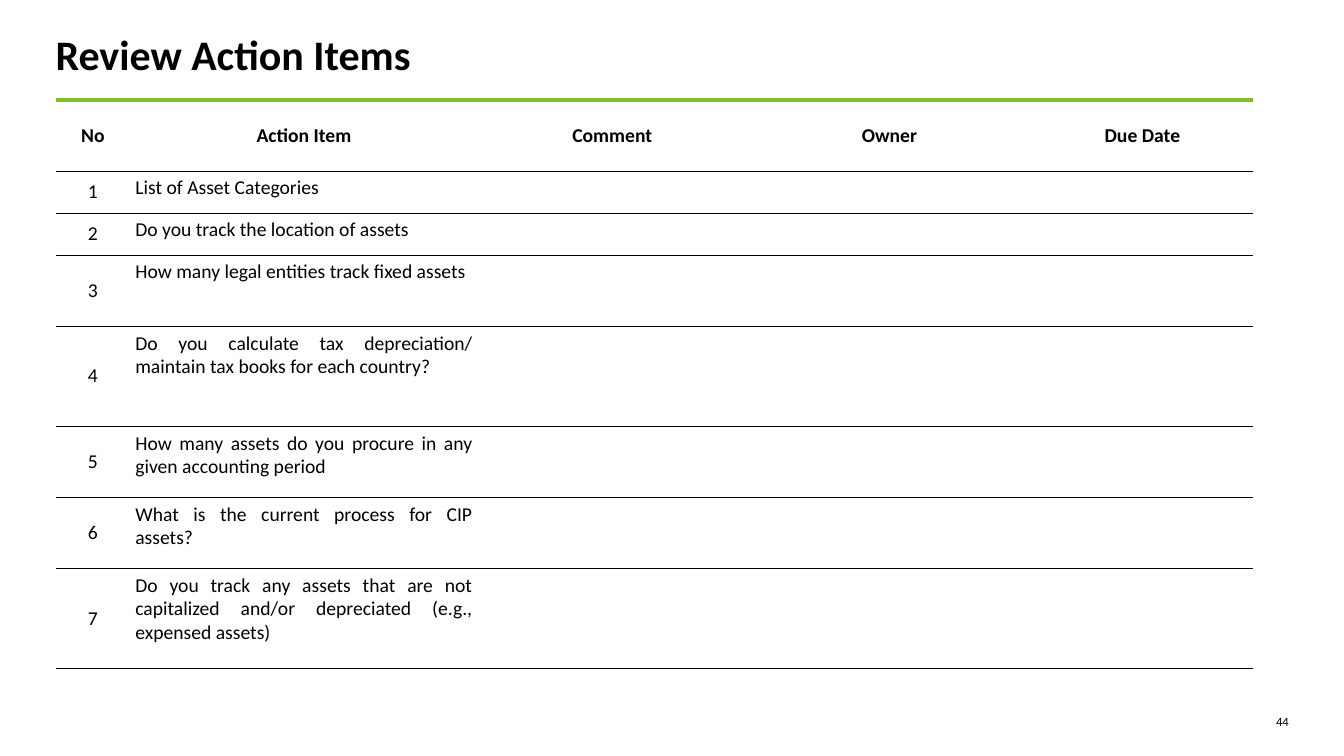
from dataclasses import dataclass

from lxml.etree import SubElement
from pptx import Presentation
from pptx.dml.color import RGBColor
from pptx.enum.text import MSO_ANCHOR as Anchor, MSO_AUTO_SIZE as AutoSize, PP_ALIGN as Align
from pptx.oxml.ns import qn
from pptx.slide import Slide
from pptx.table import _Cell as Cell
from pptx.text.text import TextFrame
from pptx.util import Cm, Pt

BLACK = RGBColor(0x00, 0x00, 0x00)
GREEN = RGBColor(0x86, 0xBC, 0x25)
FONT = "Calibri"

LEFT = Cm(1.4)
CELL_MARGIN = Cm(0.13)
HEADER_HEIGHT = 1.79
HEADERS = ("No", "Action Item", "Comment", "Owner", "Due Date")
COLUMN_WIDTHS = (1.88, 8.76, 6.78, 7.19, 5.56)


@dataclass(frozen=True)
class ActionItem:
    text: str
    height: float


@dataclass(frozen=True)
class Border:
    color: RGBColor
    width: float


THIN = Border(BLACK, 0.25)
ACCENT = Border(GREEN, 3)

ACTION_ITEMS = (
    ActionItem("List of Asset Categories", 1.06),
    ActionItem("Do you track the location of assets", 1.06),
    ActionItem("How many legal entities track fixed assets", 1.79),
    ActionItem("Do you calculate tax depreciation/ maintain tax books for each country?", 2.52),
    ActionItem("How many assets do you procure in any given accounting period", 1.79),
    ActionItem("What is the current process for CIP assets?", 1.79),
    ActionItem(
        "Do you track any assets that are not capitalized and/or depreciated "
        "(e.g., expensed assets)",
        2.52,
    ),
)


def write_text(
    frame: TextFrame,
    text: str,
    *,
    size: float = 14,
    bold: bool = False,
    align: Align = Align.LEFT,
) -> None:
    frame.word_wrap = True
    paragraph = frame.paragraphs[0]
    paragraph.alignment = align
    paragraph.space_before = Pt(0)
    if text:
        paragraph.add_run().text = text
    for font in (paragraph.font, *(run.font for run in paragraph.runs)):
        font.name = FONT
        font.size = Pt(size)
        font.bold = bold
        font.color.rgb = BLACK


def clear_margins(frame: TextFrame) -> None:
    frame.margin_left = frame.margin_right = 0
    frame.margin_top = frame.margin_bottom = 0


def set_borders(cell: Cell, top: Border) -> None:
    """Rule the cell above and below, and leave its sides open."""
    properties = cell._tc.get_or_add_tcPr()
    sides = {"a:lnL": None, "a:lnR": None, "a:lnT": top, "a:lnB": THIN}
    for tag, border in sides.items():
        line = SubElement(properties, qn(tag))
        if border is None:
            SubElement(line, qn("a:noFill"))
        else:
            line.set("w", str(Pt(border.width)))
            fill = SubElement(line, qn("a:solidFill"))
            SubElement(fill, qn("a:srgbClr"), val=str(border.color))


def fill_cell(
    cell: Cell, text: str, *, top: Border, anchor: Anchor, align: Align, bold: bool
) -> None:
    cell.margin_left = cell.margin_right = CELL_MARGIN
    cell.margin_top = cell.margin_bottom = CELL_MARGIN
    cell.vertical_anchor = anchor
    write_text(cell.text_frame, text, align=align, bold=bold)
    set_borders(cell, top)
    cell.fill.background()


def add_title(slide: Slide, text: str) -> None:
    title = slide.shapes.title
    title.left, title.top, title.width, title.height = LEFT, Cm(0.89), Cm(31.09), Cm(0.94)
    frame = title.text_frame
    clear_margins(frame)
    frame.auto_size = AutoSize.NONE
    frame.vertical_anchor = Anchor.MIDDLE
    write_text(frame, text, size=30, bold=True)


def add_action_table(slide: Slide) -> None:
    rows = [HEADERS]
    rows += [(str(number), item.text, "", "", "") for number, item in enumerate(ACTION_ITEMS, 1)]
    heights = [HEADER_HEIGHT, *(item.height for item in ACTION_ITEMS)]
    table = slide.shapes.add_table(
        len(rows), len(HEADERS), LEFT, Cm(2.52), Cm(sum(COLUMN_WIDTHS)), Cm(sum(heights))
    ).table
    table.first_row = table.horz_banding = False
    for column, width in zip(table.columns, COLUMN_WIDTHS):
        column.width = Cm(width)
    for row_index, (texts, height) in enumerate(zip(rows, heights)):
        table.rows[row_index].height = Cm(height)
        is_header = row_index == 0
        for column_index, text in enumerate(texts):
            centred = is_header or column_index == 0
            fill_cell(
                table.cell(row_index, column_index),
                text,
                top=ACCENT if is_header else THIN,
                anchor=Anchor.MIDDLE if centred else Anchor.TOP,
                align=Align.CENTER if centred else Align.JUSTIFY,
                bold=is_header,
            )


def add_slide_number(slide: Slide, number: str) -> None:
    box = slide.shapes.add_textbox(Cm(31.62), Cm(17.98), Cm(0.86), Cm(0.38))
    clear_margins(box.text_frame)
    write_text(box.text_frame, number, size=9, align=Align.RIGHT)


def main() -> None:
    presentation = Presentation()
    presentation.slide_width, presentation.slide_height = Cm(33.87), Cm(19.05)
    slide = presentation.slides.add_slide(presentation.slide_layouts.get_by_name("Title Only"))
    add_slide_number(slide, "44")
    add_action_table(slide)
    add_title(slide, "Review Action Items")
    presentation.save("out.pptx")


if __name__ == "__main__":
    main()
